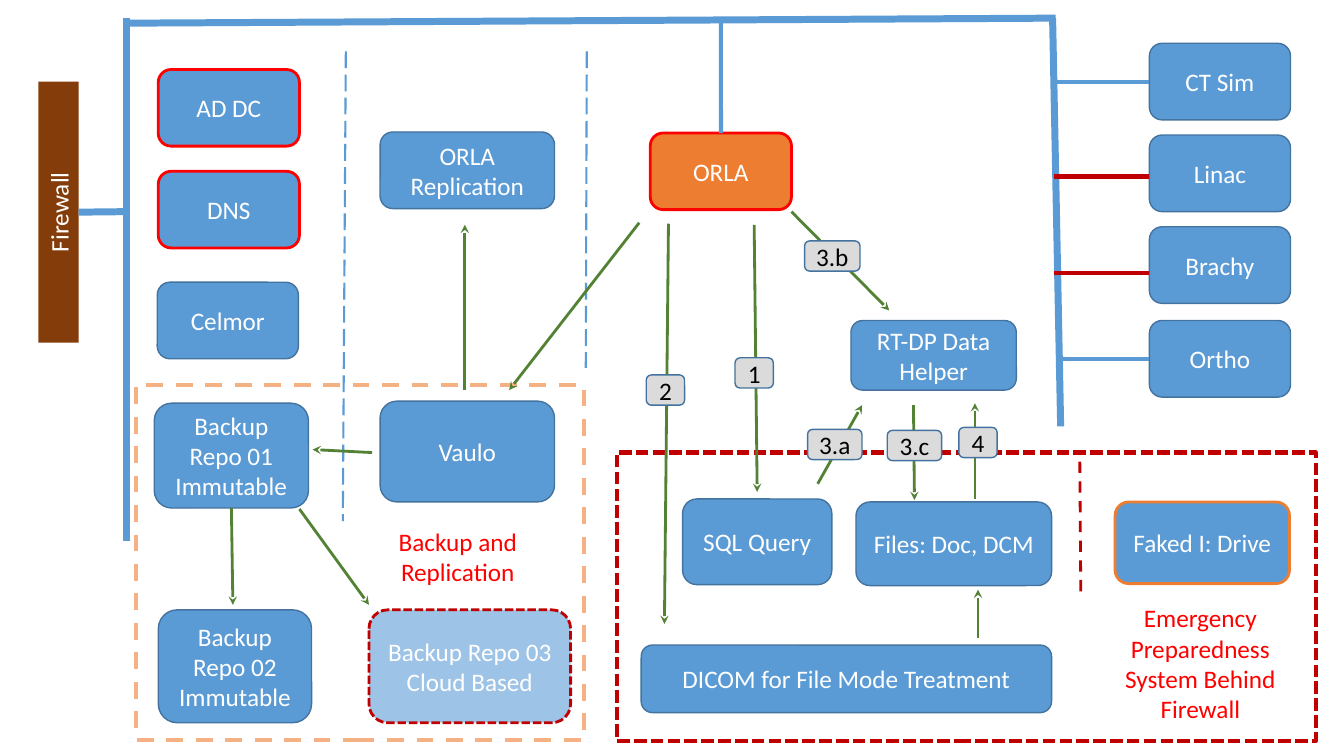
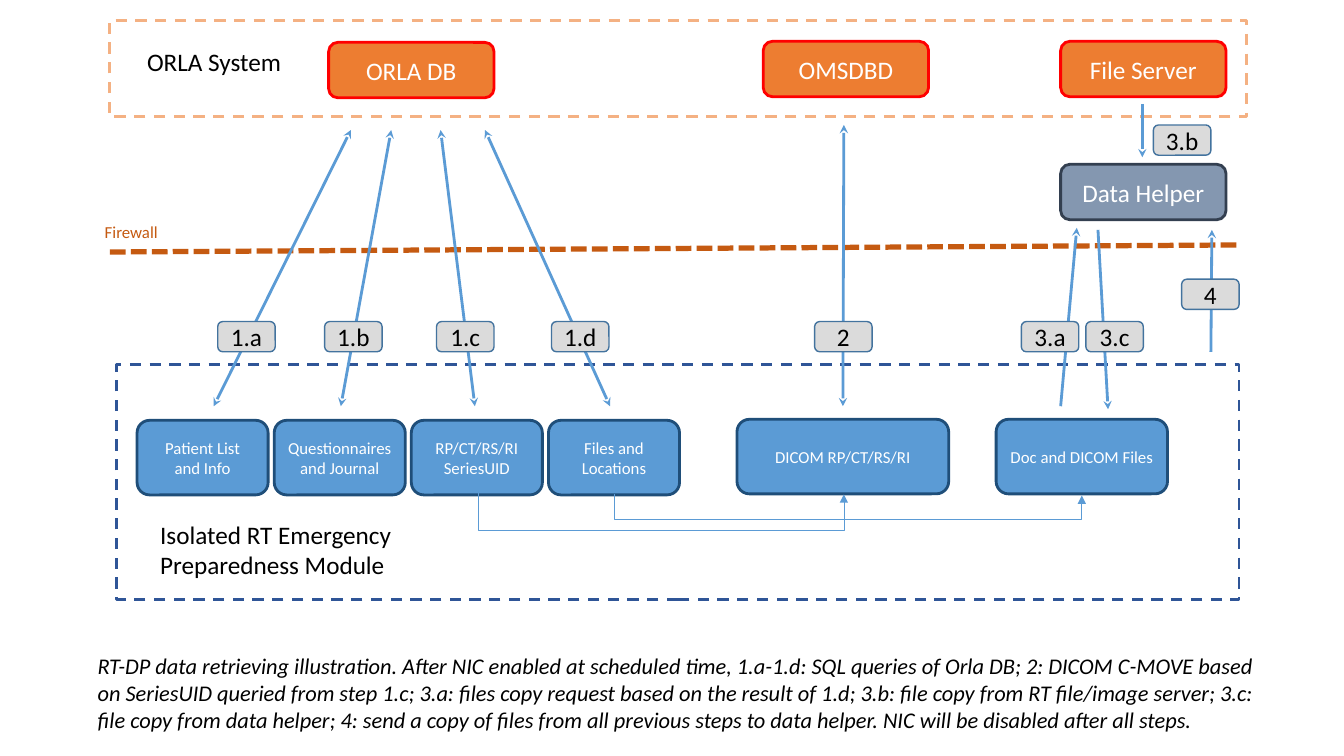
from dataclasses import dataclass
from typing import Any

from lxml.etree import SubElement
from pptx import Presentation
from pptx.dml.color import RGBColor
from pptx.enum.dml import MSO_LINE
from pptx.enum.shapes import MSO_CONNECTOR, MSO_SHAPE
from pptx.enum.text import MSO_ANCHOR, PP_ALIGN
from pptx.oxml.ns import qn
from pptx.util import Inches, Pt

HUES = {
    "blue": "5B9BD5", "edge": "43739E", "navy": "1F4E79", "royal": "2F5597",
    "pale": "9DC3E6", "orange": "ED7D31", "peach": "F4B183", "rust": "C55A11",
    "brown": "843C0B", "red": "FF0000", "crimson": "C00000", "green": "548235",
    "grey": "DBDBDB", "slate": "8497B0", "dusk": "333F50",
    "white": "FFFFFF", "black": "000000",
}
DASH, LONG, SHORT = MSO_LINE.DASH, MSO_LINE.LONG_DASH, MSO_LINE.SQUARE_DOT
LOOKS = {
    "node": ("blue", "edge", 1, None),
    "key": ("blue", "red", 2, None),
    "core": ("orange", "red", 2, None),
    "cloud": ("pale", "crimson", 2, SHORT),
    "drive": ("blue", "orange", 2, None),
    "card": ("blue", "navy", 2, None),
    "helper": ("slate", "dusk", 2, None),
    "tag": ("grey", "edge", 1, None),
    "wall": ("brown", None, 0, None),
    "backup": (None, "peach", 3, DASH),
    "emergency": (None, "crimson", 3, SHORT),
    "system": (None, "peach", 2, DASH),
    "module": (None, "royal", 2, DASH),
}
TOP, LEFT, BOTTOM, RIGHT = range(4)


def hue(name):
    """Return the named colour."""
    return RGBColor.from_string(HUES[name])


def paint(fill, name):
    """Fill with a named colour, or clear the fill."""
    if name is None:
        fill.background()
    else:
        fill.solid()
        fill.fore_color.rgb = hue(name)


def write(frame, text, ink, size=18, align=PP_ALIGN.CENTER, italic=False):
    """Put formatted text in a text frame."""
    frame.word_wrap = True
    frame.text = text
    looks = {"name": "Calibri", "size": Pt(size), "italic": italic}
    for para in frame.paragraphs:
        para.alignment = align
        for run in para.runs:
            for key, value in looks.items():
                setattr(run.font, key, value)
            run.font.color.rgb = hue(ink)


@dataclass
class Pane:
    """A region of a slide whose parts are placed from its top left."""

    slide: Any
    x: float
    y: float
    w: float
    h: float

    def spot(self, x, y):
        """Turn a point of the pane into a point of the slide."""
        return Inches(self.x + x), Inches(self.y + y)

    def box(self, look, x, y, w, h, text="", size=18, kind=MSO_SHAPE.ROUNDED_RECTANGLE):
        """Draw a box with a named look."""
        shape = self.slide.shapes.add_shape(kind, *self.spot(x, y), Inches(w), Inches(h))
        shape.shadow.inherit = False
        fill, edge, width, dash = LOOKS[look]
        paint(shape.fill, fill)
        paint(shape.line.fill, edge)
        if edge:
            shape.line.width = Pt(width)
            shape.line.dash_style = dash
        if text:
            shape.text_frame.vertical_anchor = MSO_ANCHOR.MIDDLE
            write(shape.text_frame, text, "black" if look == "tag" else "white", size)
        return shape

    def frame(self, look):
        """Outline the whole pane."""
        self.box(look, 0, 0, self.w, self.h, kind=MSO_SHAPE.RECTANGLE)

    def tags(self, items):
        """Draw the step labels."""
        for text, x, y, w in items:
            self.box("tag", x, y, w, 0.3, text)

    def note(self, x, y, w, h, text, ink="black", **form):
        """Add a plain text box."""
        area = self.slide.shapes.add_textbox(*self.spot(x, y), Inches(w), Inches(h))
        write(area.text_frame, text, ink, **form)

    def link(self, start, end, ink="blue", width=2, dash=None, head=None, tail=None,
             kind=MSO_CONNECTOR.STRAIGHT):
        """Draw a line between two points."""
        line = self.slide.shapes.add_connector(kind, *self.spot(*start), *self.spot(*end))
        line.line.width = Pt(width)
        line.line.color.rgb = hue(ink)
        line.line.dash_style = dash
        props = line._element.spPr
        edge = props.find(qn("a:ln"))
        for end_tag, tip in (("a:headEnd", head), ("a:tailEnd", tail)):
            if tip:
                SubElement(edge, qn(end_tag), type=tip)
        SubElement(props, qn("a:effectLst"))
        return line

    def arrows(self, items, ink="green"):
        """Draw one-way arrows from x, y, x, y rows."""
        return [self.link(row[:2], row[2:], ink, tail="stealth") for row in items]

    def bend(self, left, right, y, drop):
        """Draw an arrow that runs down, across and up again."""
        mid, half, thin = (left + right) / 2, (right - left) / 2, 0.01
        line = self.link((mid + thin / 2, y - half), (mid - thin / 2, y + half),
                         width=0.5, tail="triangle", kind=MSO_CONNECTOR.ELBOW)
        props = line._element.spPr
        props.find(qn("a:xfrm")).set("rot", "16200000")
        guides = props.find(qn("a:prstGeom")).find(qn("a:avLst"))
        SubElement(guides, qn("a:gd"), name="adj1", fmla=f"val {round(drop / thin * 100000)}")


def network(pane):
    """Draw the firewall, the bus, the dividers and the core server."""
    wall = pane.box("wall", 0, 0.63, 0.4, 2.59, "Firewall", kind=MSO_SHAPE.RECTANGLE)
    wall.text_frame._txBody.bodyPr.set("vert", "vert270")
    core = pane.box("core", 6.07, 1.14, 1.4, 0.76, "ORLA")
    for start, end in (((0.87, 0), (0.87, 5.19)), ((10.06, 0), (10.14, 4.05)),
                       ((10.09, 0), (0.87, 0.05))):
        pane.link(start, end, width=5)
    pane.link((0.4, 1.92), (0.84, 1.92), width=5).begin_connect(wall, RIGHT)
    pane.link((6.77, 1.14), (6.77, 0.03), width=3).begin_connect(core, TOP)
    for top, foot, depth in ((3.05, 3.02, 4.99), (5.44, 5.43, 3.47)):
        pane.link((top, 0.33), (foot, depth), width=1.5, dash=LONG)


def servers(pane):
    """Draw the column of servers."""
    for look, text, x, y in (("key", "AD DC", 0.01, 0), ("key", "DNS", 0.01, 1.01),
                             ("node", "Celmor", 0, 2.11)):
        pane.box(look, x, y, 1.4, 0.76, text)


def devices(pane):
    """Draw the treatment devices and their wires."""
    for text, top, start, wire, ink in (
            ("CT Sim", 0, 0, 0.38, "blue"), ("Linac", 0.91, 0, 1.32, "crimson"),
            ("Brachy", 1.82, 0, 2.28, "crimson"), ("Ortho", 2.75, 0.04, 3.13, "blue")):
        node = pane.box("node", 0.95, top, 1.4, 0.76, text)
        line = pane.link((start, wire), (0.95, wire), ink, 3)
        if ink == "blue":
            line.end_connect(node, LEFT)


def backup(pane):
    """Draw the backup and replication region."""
    pane.frame("backup")
    pane.box("node", 2.42, -2.51, 1.73, 0.76, "ORLA Replication")
    pane.box("node", 2.42, 0.16, 1.73, 1, "Vaulo")
    first = pane.box("node", 0.18, 0.18, 1.53, 1.04, "Backup Repo 01 Immutable")
    pane.box("node", 0.22, 2.23, 1.52, 1.12, "Backup Repo 02\nImmutable")
    pane.box("cloud", 2.31, 2.23, 2, 1.12, "Backup Repo 03\nCloud Based")
    pane.note(2.29, 1.35, 1.8, 0.71, "Backup and Replication", "red")
    lines = pane.arrows((
        (0.94, 1.22, 0.96, 2.18), (4.99, -1.61, 3.7, 0.05), (2.34, 0.67, 1.75, 0.64),
        (1.62, 1.23, 2.31, 2.18), (3.26, 0.05, 3.26, -1.59)))
    lines[0].begin_connect(first, BOTTOM)


def rescue(pane):
    """Draw the emergency preparedness region."""
    pane.frame("emergency")
    for look, x, y, w, h, text in (
            ("node", 2.32, -1.31, 1.64, 0.69, "RT-DP Data Helper"),
            ("node", 0.65, 0.46, 1.48, 0.85, "SQL Query"),
            ("node", 0.24, 1.91, 4.07, 0.67, "DICOM for File Mode Treatment"),
            ("node", 2.37, 0.49, 1.94, 0.83, "Files: Doc, DCM"),
            ("drive", 4.94, 0.49, 1.73, 0.81, "Faked I: Drive")):
        pane.box(look, x, y, w, h, text)
    pane.note(4.79, 1.44, 1.99, 1.31,
              "Emergency Preparedness System Behind Firewall", "red")
    pane.link((4.59, 0.09), (4.6, 1.44), "crimson", dash=DASH)
    pane.arrows((
        (1.36, -2.26, 1.39, 0.39), (1.73, -2.39, 2.7, -1.41), (2.94, -0.47, 2.95, 0.47),
        (1.99, 0.31, 2.43, -0.47), (0.51, -2.27, 0.47, 1.7), (3.55, 0.46, 3.55, -0.49),
        (3.58, 1.84, 3.58, 1.36)))
    pane.tags((("1", 1.17, -0.94, 0.38), ("2", 0.29, -0.77, 0.38),
               ("3.a", 1.89, -0.23, 0.54), ("3.b", 1.86, -2.1, 0.55),
               ("3.c", 2.68, -0.22, 0.54), ("4", 3.39, -0.25, 0.38)))


def system(pane):
    """Draw the clinical system, the data helper and the firewall."""
    pane.frame("system")
    for look, x, y, text in (
            ("core", 2.17, 0.22, "ORLA DB"), ("core", 6.48, 0.21, "OMSDBD"),
            ("core", 9.43, 0.21, "File Server"), ("helper", 9.43, 1.43, "Data Helper")):
        pane.box(look, x, y, 1.64, 0.55, text)
    pane.note(0.27, 0.21, 1.78, 0.4, "ORLA System", align=PP_ALIGN.LEFT)
    pane.note(-0.15, 1.95, 1.29, 0.3, "Firewall", "rust", size=12, align=PP_ALIGN.LEFT)
    pane.link((0, 2.3), (11.2, 2.23), "rust", 3.75, SHORT)
    pane.arrows(((10.24, 0.83, 10.24, 1.36),), "blue")
    pane.tags((("3.b", 10.35, 1.04, 0.57),))


def module(pane):
    """Draw the isolated module with its queries and file flows."""
    pane.frame("module")
    cards = ("Patient List and Info", "Questionnaires and Journal",
             "RP/CT/RS/RI SeriesUID", "Files and Locations")
    for i, text in enumerate(cards):
        pane.box("card", 0.2 + 1.36 * i, 0.55, 1.3, 0.74, text, 12)
    pane.box("card", 6.15, 0.54, 2.1, 0.74, "DICOM RP/CT/RS/RI", 12)
    pane.box("card", 8.72, 0.54, 1.7, 0.74, "Doc and DICOM Files", 12)
    pane.note(0.33, 1.48, 2.54, 0.71, "Isolated RT Emergency Preparedness Module",
              align=PP_ALIGN.LEFT)
    for foot, top, rise, text, x in (
            (0.96, 2.32, -2.33, "1.a", 1), (2.22, 2.72, -2.33, "1.b", 2.06),
            (3.55, 3.21, -2.33, "1.c", 3.17), (4.89, 3.65, -2.33, "1.d", 4.31),
            (7.2, 7.21, -2.38, "2", 6.92)):
        pane.link((foot, 0.41), (top, rise), head="stealth", tail="stealth")
        pane.tags(((text, x, -0.43, 0.57),))
    pane.arrows(((9.36, 0.41, 9.52, -1.36), (10.85, -0.13, 10.86, -1.34),
                 (9.73, -1.34, 9.83, 0.44)), "blue")
    pane.tags((("3.a", 8.97, -0.43, 0.57), ("3.c", 9.61, -0.43, 0.57),
               ("4", 10.56, -0.85, 0.57)))
    pane.bend(3.58, 7.21, 1.28, 0.37)
    pane.bend(4.93, 9.57, 1.29, 0.25)


def caption(pane):
    """Write the explanation below the diagram."""
    text = ("RT-DP data retrieving illustration. After NIC enabled at scheduled time, "
            "1.a-1.d: SQL queries of Orla DB; 2: DICOM C-MOVE based on SeriesUID queried "
            "from step 1.c; 3.a: files copy request based on the result of 1.d; 3.b: file "
            "copy from RT file/image server; 3.c: file copy from data helper; 4: send a "
            "copy of files from all previous steps to data helper. NIC will be disabled "
            "after all steps.")
    pane.note(0, 0, pane.w, pane.h, text, size=16, align=PP_ALIGN.LEFT, italic=True)


PLANS = (
    ((network, 0.38, 0.18, 10.14, 5.19), (servers, 1.56, 0.69, 1.41, 2.87),
     (devices, 10.45, 0.43, 2.35, 3.51), (backup, 1.35, 3.82, 4.44, 3.52),
     (rescue, 6.12, 4.49, 6.93, 2.86)),
    ((system, 1.09, 0.2, 11.27, 0.96), (module, 1.16, 3.62, 11.13, 2.33),
     (caption, 0.87, 6.42, 11.87, 0.91)),
)


def main():
    """Build the deck and save it."""
    deck = Presentation()
    deck.slide_width, deck.slide_height = Inches(13.33), Inches(7.5)
    for plan in PLANS:
        slide = deck.slides.add_slide(deck.slide_layouts[6])
        for draw, *area in plan:
            draw(Pane(slide, *area))
    deck.save("out.pptx")


if __name__ == "__main__":
    main()
